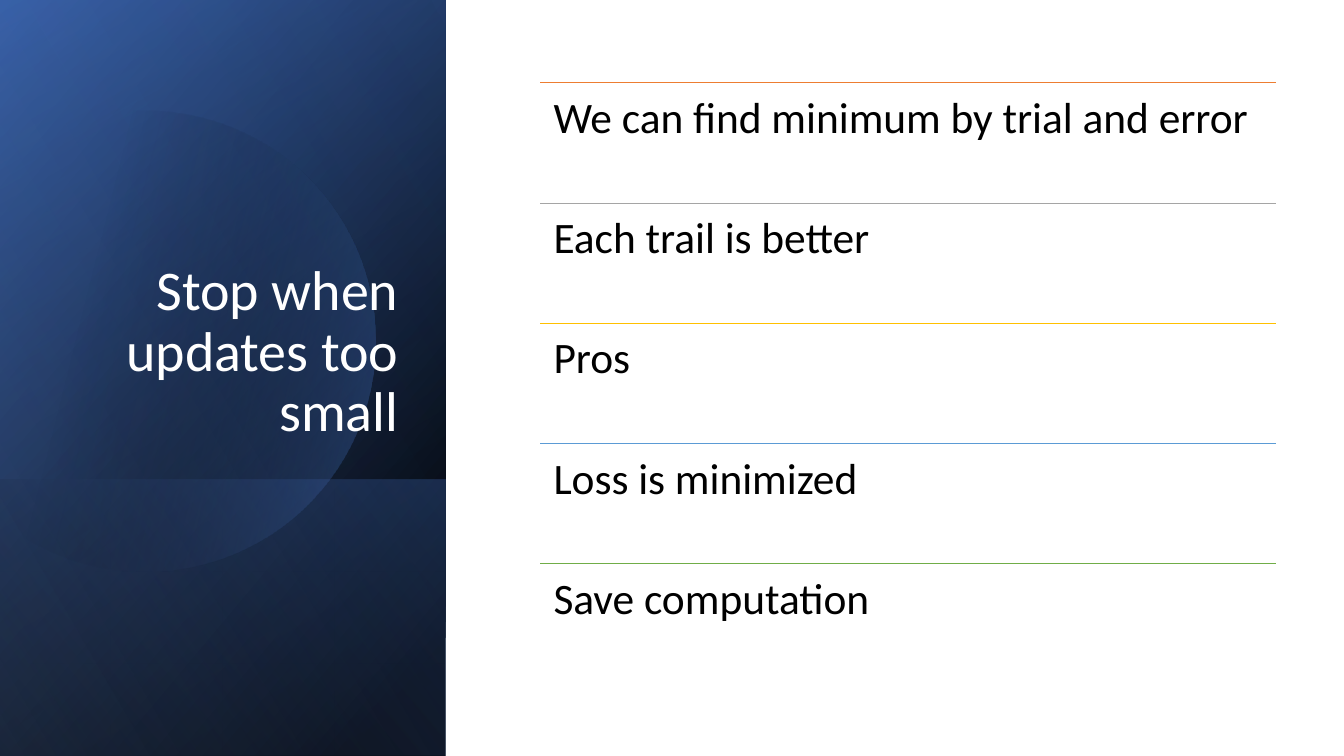
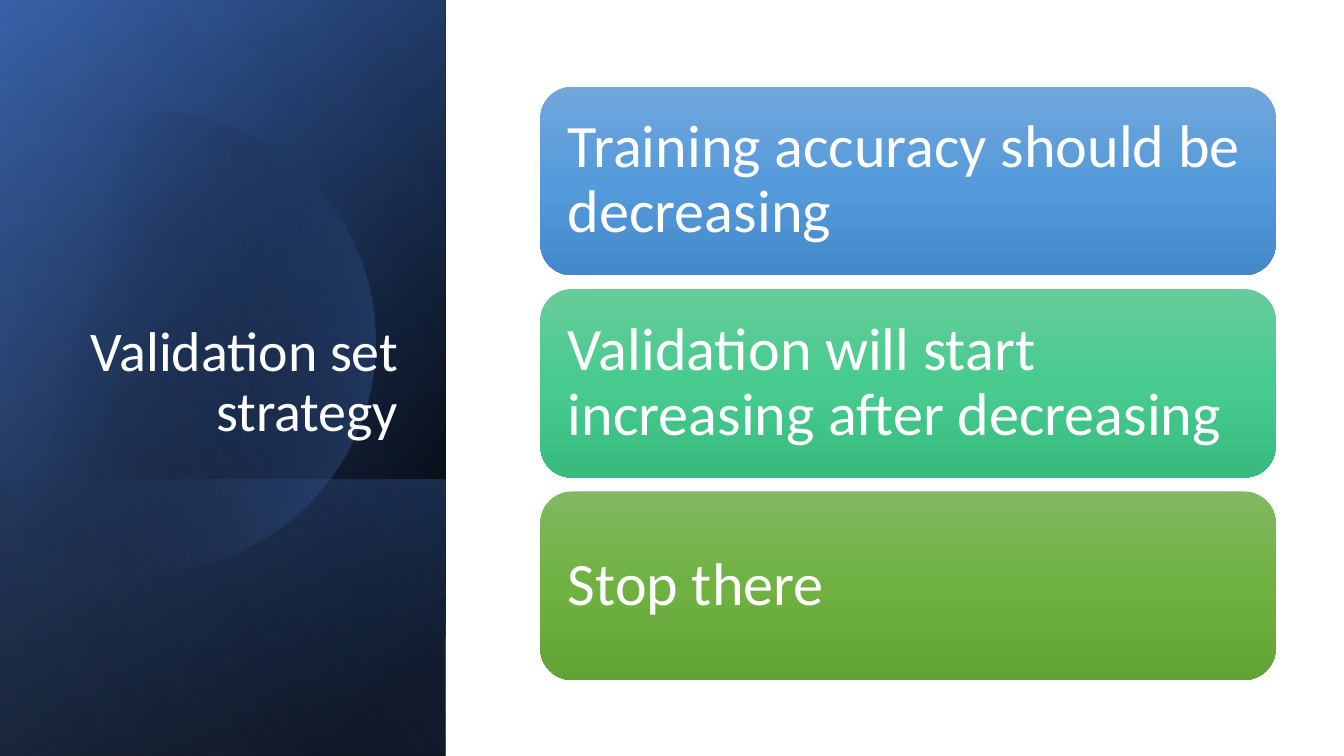
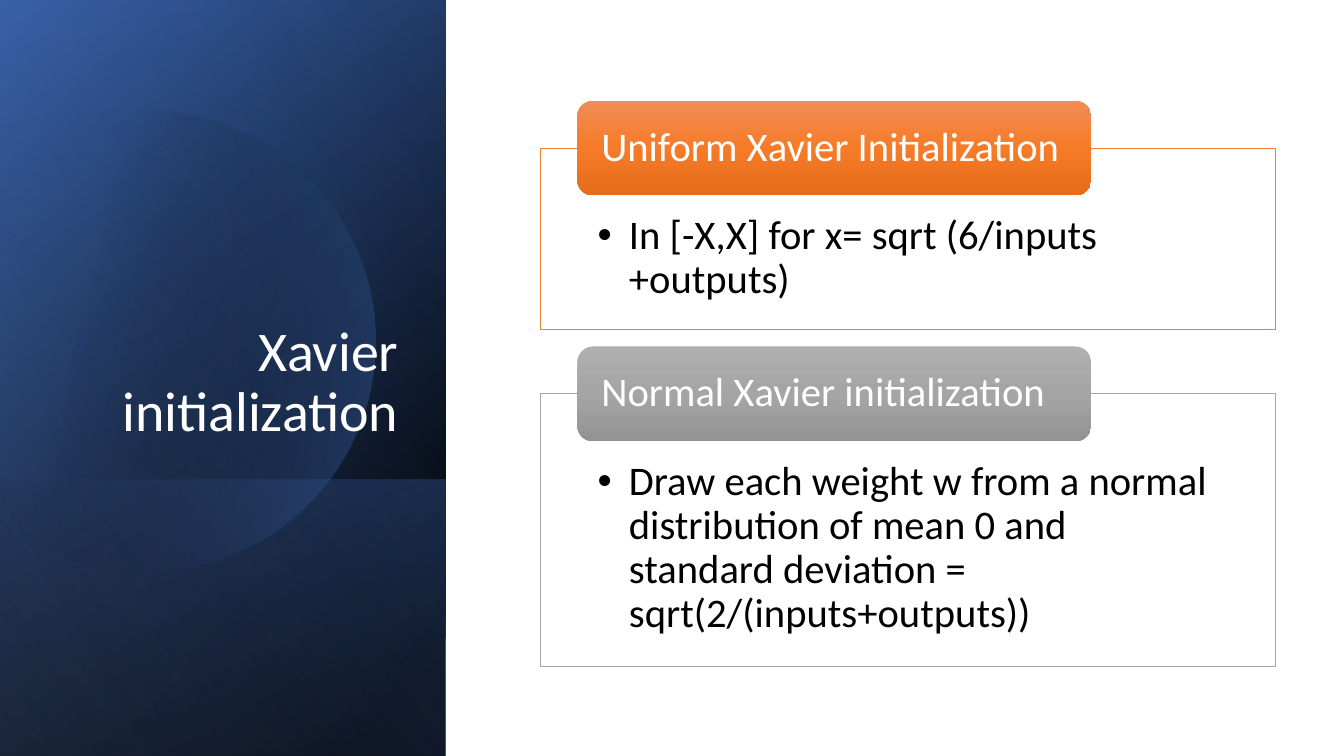
from dataclasses import dataclass
from math import acos, cos, sin

from lxml.etree import SubElement
from pptx import Presentation
from pptx.dml.color import RGBColor
from pptx.enum.shapes import MSO_CONNECTOR, MSO_SHAPE
from pptx.enum.text import MSO_ANCHOR, MSO_AUTO_SIZE, PP_ALIGN
from pptx.oxml.ns import qn
from pptx.util import Cm, Pt


@dataclass(frozen=True)
class Theme:
    font: str = "Calibri"
    white: str = "FFFFFF"
    black: str = "000000"
    blue: str = "4472C4"
    deep_blue: str = "2F5597"
    pale_blue: str = "8FAADC"
    orange: str = "ED7D31"
    grey: str = "A5A5A5"
    rules: tuple = ("ED7D31", "A5A5A5", "FFC000", "5B9BD5", "70AD47")
    blue_blend: tuple = ("71A6DB", "559BDB", "448ACA")
    mint_blend: tuple = ("67CC9A", "47CB8E", "39BB7F")
    green_blend: tuple = ("81B861", "6FB242", "62A336")
    orange_blend: tuple = ("F18C57", "F67B28", "E56C19")
    grey_blend: tuple = ("AFAFAF", "A5A5A5", "939393")
    title_size: int = 40
    row_size: int = 31
    step_size: int = 43
    card_size: int = 29
    hairline: float = 0.5


@dataclass(frozen=True)
class Box:
    """A region of the slide, in centimetres."""
    left: float
    top: float
    width: float
    height: float

    def lengths(self):
        return Cm(self.left), Cm(self.top), Cm(self.width), Cm(self.height)

    def inner(self, left, top, width, height):
        return Box(self.left + left, self.top + top, width, height)


THEME = Theme()
SLIDE = Box(0, 0, 33.87, 19.05)
PANEL = Box(0, 0, 11.23, 19.05)
CONTENT = Box(13.62, 2.08, 18.53, 15.16)


# Formatting helpers

def colour(value):
    return RGBColor.from_string(value)


def fill_gradient(shape, stops, angle):
    """Fill with (position %, colour, opacity %) stops, angle clockwise."""
    shape.shadow.inherit = False
    shape.line.fill.background()
    shape.fill.gradient()
    gradient = shape.element.spPr.find(qn("a:gradFill"))
    stop_list = gradient.find(qn("a:gsLst"))
    for old_stop in list(stop_list):
        stop_list.remove(old_stop)
    for position, value, opacity in stops:
        stop = SubElement(stop_list, qn("a:gs"), pos=str(position * 1000))
        tint = SubElement(stop, qn("a:srgbClr"), val=value)
        if opacity < 100:
            SubElement(tint, qn("a:alpha"), val=str(opacity * 1000))
    gradient.find(qn("a:lin")).set("ang", str(angle * 60000))


def write(shape, text, size, value, insets, anchor=MSO_ANCHOR.TOP,
          align=PP_ALIGN.LEFT):
    """Set one paragraph; insets are left, top, right, bottom in cm."""
    frame = shape.text_frame
    frame.text = text
    frame.word_wrap = True
    frame.auto_size = MSO_AUTO_SIZE.NONE
    frame.vertical_anchor = anchor
    (frame.margin_left, frame.margin_top,
     frame.margin_right, frame.margin_bottom) = map(Cm, insets)
    para = frame.paragraphs[0]
    para.alignment = align
    para.line_spacing = 0.9
    font = para.runs[0].font
    font.name, font.size = THEME.font, Pt(size)
    font.color.rgb = colour(value)
    return para


def add_bullet(para, indent):
    properties = para._p.get_or_add_pPr()
    properties.set("marL", str(Cm(indent)))
    properties.set("indent", str(-Cm(indent)))
    SubElement(properties, qn("a:buFont"), typeface="Arial")
    SubElement(properties, qn("a:buChar"), char="•")


def add_rounded(page, box, blend):
    shape = page.shapes.add_shape(MSO_SHAPE.ROUNDED_RECTANGLE, *box.lengths())
    fill_gradient(shape, [(at, value, 100)
                          for at, value in zip((0, 50, 100), blend)], 90)
    return shape


# Title panel shared by all slides

def add_turned_layer(page, box, stops, angle):
    """Cover the box with a mirrored rectangle turned by a quarter."""
    frame = box.inner((box.width - box.height) / 2,
                      (box.height - box.width) / 2, box.height, box.width)
    layer = page.shapes.add_shape(MSO_SHAPE.RECTANGLE, *frame.lengths())
    layer.rotation = 90
    layer.element.spPr.find(qn("a:xfrm")).set("flipH", "1")
    fill_gradient(layer, stops, angle)


def add_disc(page, box):
    """Draw a circle whose left side is cut just outside the box."""
    centre_x, centre_y = box.left + 3.66, box.top + 8.59
    radius, cut, steps = 5.8, -0.38, 80
    reach = acos((box.left + cut - centre_x) / radius)
    angles = [reach * (2 * step / steps - 1) for step in range(steps + 1)]
    points = [(Cm(centre_x + radius * cos(angle)),
               Cm(centre_y + radius * sin(angle))) for angle in angles]
    builder = page.shapes.build_freeform(*points[0])
    builder.add_line_segments(points[1:], close=True)
    fill_gradient(builder.convert_to_shape(),
                  [(29, THEME.black, 0), (100, THEME.blue, 43)], 14)


def add_title_panel(page, box, text):
    foot = box.inner(0, 12.09, box.width, box.height - 12.09)
    add_turned_layer(page, box, [(8, THEME.black, 100),
                                 (100, THEME.deep_blue, 100)], 50)
    add_turned_layer(page, box, [(0, THEME.black, 0),
                                 (99, THEME.blue, 46)], 30)
    add_turned_layer(page, foot, [(2, THEME.blue, 29),
                                  (100, THEME.black, 30)], 130)
    add_disc(page, box)
    add_turned_layer(page, box, [(0, THEME.black, 0),
                                 (99, THEME.pale_blue, 11)], 120)

    # Title, brought in front of the layers
    title = page.shapes.title
    title.left, title.top, title.width, title.height = box.inner(
        1.63, 4.67, 8.66, 6.65).lengths()
    write(title, text, THEME.title_size, THEME.white,
          (0.25, 0.13, 0.25, 0.13), MSO_ANCHOR.BOTTOM, PP_ALIGN.RIGHT)
    title.element.getparent().append(title.element)


# Content regions

def add_ruled_rows(page, box, rows):
    height = box.height / len(rows)
    for index, (text, value) in enumerate(zip(rows, THEME.rules)):
        row = box.inner(0, index * height, box.width, height)
        left, top, width, _ = row.lengths()
        rule = page.shapes.add_connector(MSO_CONNECTOR.STRAIGHT,
                                         left, top, left + width, top)
        rule.line.color.rgb = colour(value)
        rule.line.width = Pt(THEME.hairline)
        SubElement(rule.element.spPr, qn("a:effectLst"))
        write(page.shapes.add_textbox(*row.lengths()), text,
              THEME.row_size, THEME.black, (0.33,) * 4)


def add_steps(page, box, steps):
    height, gap = 4.75, 0.35
    total = len(steps) * (height + gap) - gap
    top = (box.height - total) / 2
    for text, blend in steps:
        step = add_rounded(page, box.inner(0, top, box.width, height), blend)
        write(step, text, THEME.step_size, THEME.white, (0.46,) * 4,
              MSO_ANCHOR.MIDDLE)
        top += height + gap


def add_cards(page, box, cards):
    """Stack outlined cards, each with a label astride its top edge."""
    label_height, gap = 2.39, 0.43
    overlap = label_height / 2
    total = sum(card[2] + overlap + gap for card in cards) - gap
    top = (box.height - total) / 2
    for label_text, text, height, value, blend in cards:
        card = page.shapes.add_shape(
            MSO_SHAPE.RECTANGLE,
            *box.inner(0, top + overlap, box.width, height).lengths())
        card.shadow.inherit = False
        card.fill.solid()
        card.fill.fore_color.rgb = colour(THEME.white)
        card.line.color.rgb = colour(value)
        card.line.width = Pt(THEME.hairline)
        para = write(card, text, THEME.card_size, THEME.black,
                     (1.44, 1.68, 1.44, 0.58))
        add_bullet(para, 0.79)
        label = add_rounded(page, box.inner(0.93, top, 12.95, label_height),
                            blend)
        write(label, label_text, THEME.card_size, THEME.white,
              (0.49, 0, 0.49, 0), MSO_ANCHOR.MIDDLE)
        top += overlap + height + gap


def main():
    deck = Presentation()
    _, _, deck.slide_width, deck.slide_height = SLIDE.lengths()
    slides = [
        ("Stop when updates too small", add_ruled_rows, [
            "We can find minimum by trial and error",
            "Each trail is better",
            "Pros",
            "Loss is minimized",
            "Save computation",
        ]),
        ("Validation set strategy", add_steps, [
            ("Training accuracy should be decreasing", THEME.blue_blend),
            ("Validation will start increasing after decreasing",
             THEME.mint_blend),
            ("Stop there", THEME.green_blend),
        ]),
        ("Xavier initialization", add_cards, [
            ("Uniform Xavier Initialization",
             "In [-X,X] for x= sqrt (6/inputs +outputs)",
             4.57, THEME.orange, THEME.orange_blend),
            ("Normal Xavier initialization",
             "Draw each weight w from a normal distribution of mean 0 and "
             "standard deviation = sqrt(2/(inputs+outputs))",
             6.86, THEME.grey, THEME.grey_blend),
        ]),
    ]
    title_only = deck.slide_layouts.get_by_name("Title Only")
    for title, add_content, items in slides:
        page = deck.slides.add_slide(title_only)
        add_title_panel(page, PANEL, title)
        add_content(page, CONTENT, items)
    deck.save("out.pptx")


if __name__ == "__main__":
    main()
